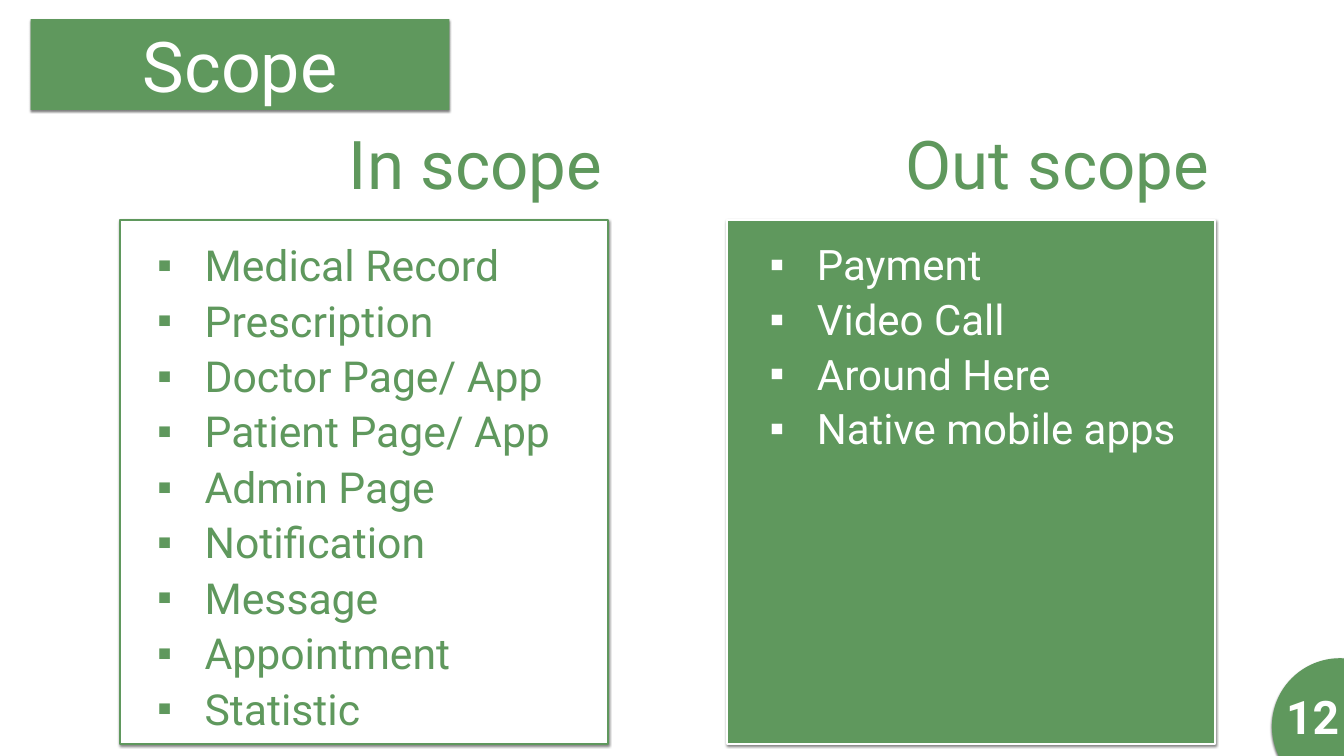
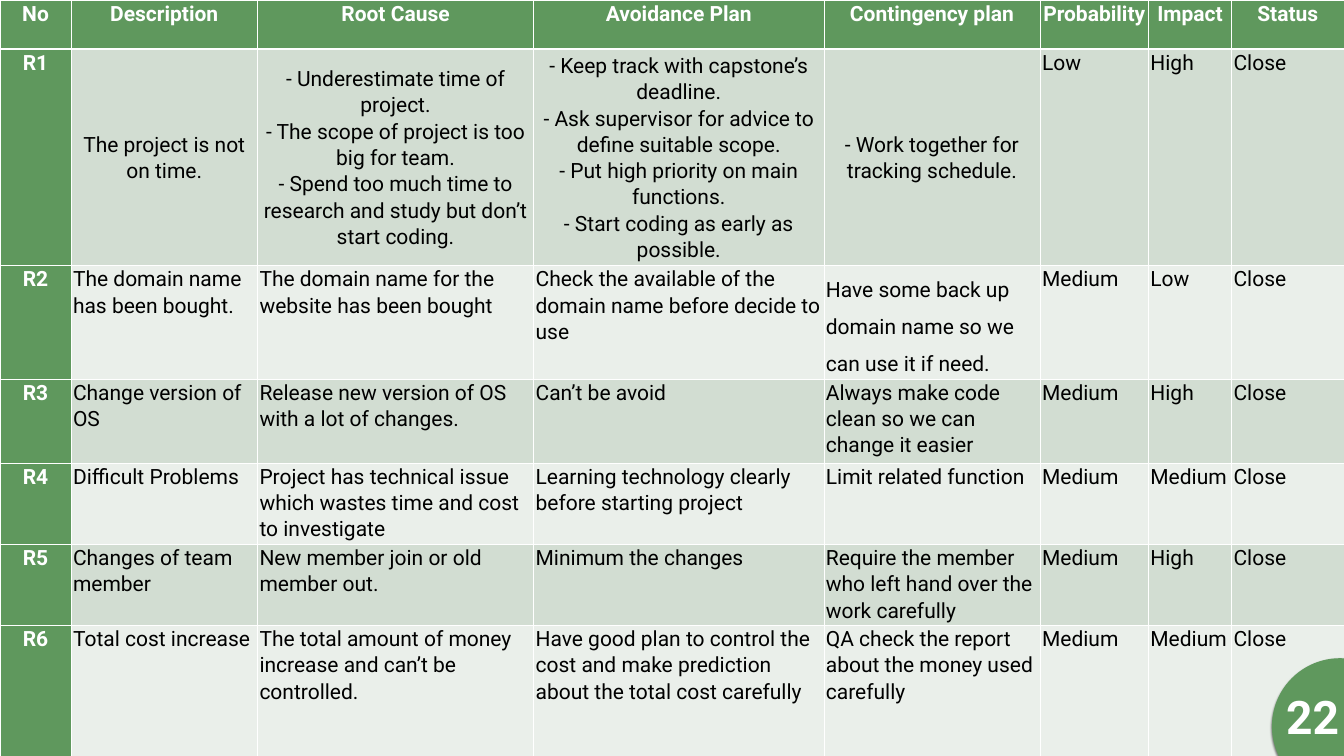
import pptx
import pptx.dml.color
import pptx.enum.shapes
import pptx.enum.text
import pptx.oxml
import pptx.oxml.ns
import pptx.util
from lxml import etree

Inches = pptx.util.Inches
Pt = pptx.util.Pt
Align = pptx.enum.text.PP_ALIGN
Anchor = pptx.enum.text.MSO_ANCHOR
Preset = pptx.enum.shapes.MSO_SHAPE

FONT = "Roboto"
COLORS = {
    "green": "5F985D",
    "white": "FFFFFF",
    "black": "000000",
    "dark_band": "D2DDD2",
    "light_band": "EAEFEA",
}
SLIDE_WIDTH, SLIDE_HEIGHT = 26.67, 15
TITLE_BOX = (0.61, 0.38, 8.31, 1.8)
BADGE_BOX = (25.24, 13.06, 2.7, 2.7)
COLUMN_TOP, COLUMN_WIDTH, COLUMN_HEIGHT = 2.36, 9.68, 12.4
HEADING_HEIGHT, PANEL_OFFSET = 1.73, 2.01

IN_SCOPE = [
    "Medical Record", "Prescription", "Doctor Page/ App", "Patient Page/ App",
    "Admin Page", "Notification", "Message", "Appointment", "Statistic",
]
OUT_SCOPE = ["Payment", "Video Call", "Around Here", "Native mobile apps"]

RISK_COLUMNS = [1.41, 3.7, 5.48, 5.76, 4.29, 2.15, 1.65, 2.23]
RISK_ROWS = [0.98, 4.29, 2.24, 1.67, 1.61, 1.61, 2.7]
RISKS = [
    ["No", "Description", "Root Cause", "Avoidance Plan", "Contingency plan",
     "Probability", "Impact", "Status"],
    ["R1", "The project is not on time.",
     "- Underestimate time of project.\n"
     "- The scope of project is too big for team.\n"
     "- Spend too much time to research and study but don’t start coding.",
     "- Keep track with capstone’s deadline.\n"
     "- Ask supervisor for advice to define suitable scope.\n"
     "- Put high priority on main functions.\n"
     "- Start coding as early as possible.",
     "- Work together for tracking schedule.", "Low", "High", "Close"],
    ["R2", "The domain name has been bought.",
     "The domain name for the website has been bought",
     "Check the available of the domain name before decide to use",
     "Have some back up domain name so we can use it if need.",
     "Medium", "Low", "Close"],
    ["R3", "Change version of OS",
     "Release new version of OS with a lot of changes.", "Can’t be avoid",
     "Always make code clean so we can change it easier",
     "Medium", "High", "Close"],
    ["R4", "Difficult Problems",
     "Project has technical issue which wastes time and cost to investigate",
     "Learning technology clearly before starting project",
     "Limit related function", "Medium", "Medium", "Close"],
    ["R5", "Changes of team member", "New member join or old member out.",
     "Minimum the changes",
     "Require the member who left hand over the work carefully",
     "Medium", "High", "Close"],
    ["R6", "Total cost increase",
     "The total amount of money increase and can’t be controlled.",
     "Have good plan to control the cost and make prediction about the total cost carefully",
     "QA check the report about the money used carefully",
     "Medium", "Medium", "Close"],
]


def rgb(name):
    return pptx.dml.color.RGBColor.from_string(COLORS[name])


def place(shape, box):
    shape.left, shape.top, shape.width, shape.height = map(Inches, box)


def paint(shape, fill, line=None):
    shape.fill.solid()
    shape.fill.fore_color.rgb = rgb(fill)
    if line:
        shape.line.color.rgb = rgb(line)
        shape.line.width = Pt(3)
    else:
        shape.line.fill.background()
    shape.shadow.inherit = False
    effects = shape.element.spPr.find(pptx.oxml.ns.qn("a:effectLst"))
    effects.append(pptx.oxml.parse_xml(
        f'<a:outerShdw {pptx.oxml.ns.nsdecls("a")} blurRad="{Pt(3)}" dist="{Pt(2)}" '
        f'dir="5400000" algn="t" rotWithShape="0"><a:srgbClr val="{COLORS["black"]}">'
        '<a:alpha val="50000"/></a:srgbClr></a:outerShdw>'))


def style(paragraph, size, color, bold=False, align=None):
    paragraph.font.name = FONT
    paragraph.font.size = Pt(size)
    paragraph.font.bold = bold
    paragraph.font.color.rgb = rgb(color)
    if align is not None:
        paragraph.alignment = align


def set_label(shape, text, size, color, wrap):
    frame = shape.text_frame
    frame.text = text
    frame.word_wrap = wrap
    frame.auto_size = pptx.enum.text.MSO_AUTO_SIZE.NONE
    frame.vertical_anchor = Anchor.MIDDLE
    frame.margin_left = frame.margin_right = Inches(0.06)
    frame.margin_top = frame.margin_bottom = Inches(0.06)
    paragraph = frame.paragraphs[0]
    paragraph.space_before = Pt(0)
    style(paragraph, size, color, align=Align.CENTER)


def fill_list(body, items, size, color):
    frame = body.text_frame
    frame.text = "\n".join(items)
    frame.word_wrap = True
    frame.auto_size = pptx.enum.text.MSO_AUTO_SIZE.NONE
    for index, paragraph in enumerate(frame.paragraphs):
        properties = paragraph._p.get_or_add_pPr()
        properties.set("marL", str(Inches(0.94)))
        properties.set("indent", str(-Inches(0.94)))
        etree.SubElement(properties, pptx.oxml.ns.qn("a:buChar")).set("char", "▪")
        paragraph.space_before = Pt(6 if index else 0)
        style(paragraph, size, color)


def add_slide(presentation, layout_index):
    slide = presentation.slides.add_slide(presentation.slide_layouts[layout_index])
    slide.background.fill.solid()
    slide.background.fill.fore_color.rgb = rgb("white")
    return slide


def add_number_badge(slide, box, number):
    left, top, width, height = box
    circle = slide.shapes.add_shape(Preset.OVAL, *map(Inches, box))
    paint(circle, "green")
    label = slide.shapes.add_textbox(
        Inches(left + 0.18), Inches(top + 0.55), Inches(1.26), Inches(1.21))
    label.text_frame.text = str(number)
    label.text_frame.word_wrap = False
    style(label.text_frame.paragraphs[0], 66, "white", True, Align.CENTER)


def add_scope_column(slide, box, heading, body, text, items, heading_width,
                     list_indent, size, fill, ink):
    left, top, width, height = box
    place(heading, (left + width - heading_width, top, heading_width, HEADING_HEIGHT))
    set_label(heading, text, 96, "green", False)
    panel_top = top + PANEL_OFFSET
    panel_height = height - PANEL_OFFSET
    panel = slide.shapes.add_shape(
        Preset.RECTANGLE, *map(Inches, (left, panel_top, width, panel_height)))
    paint(panel, fill, ink)
    place(body, (left + list_indent, panel_top + 0.32,
                 width - list_indent, panel_height - 0.32))
    fill_list(body, items, size, ink)
    body.element.getparent().append(body.element)


def build_scope_slide(presentation):
    slide = add_slide(presentation, 4)
    title, in_heading, in_body, out_heading, out_body = slide.placeholders
    place(title, TITLE_BOX)
    paint(title, "green")
    set_label(title, "Scope", 100, "white", True)
    add_scope_column(
        slide, (2.39, COLUMN_TOP, COLUMN_WIDTH, COLUMN_HEIGHT), in_heading, in_body,
        "In scope", IN_SCOPE, 5.26, 0.63, 61, "white", "green")
    add_scope_column(
        slide, (14.43, COLUMN_TOP, COLUMN_WIDTH, COLUMN_HEIGHT), out_heading, out_body,
        "Out scope", OUT_SCOPE, 6.26, 0.74, 60, "green", "white")
    add_number_badge(slide, BADGE_BOX, 12)


def set_borders(cell, row):
    properties = cell._tc.get_or_add_tcPr()
    widths = {"lnL": 1, "lnR": 1, "lnT": 3 if row == 1 else 1, "lnB": 3 if row == 0 else 1}
    for side, width in widths.items():
        properties.append(pptx.oxml.parse_xml(
            f'<a:{side} {pptx.oxml.ns.nsdecls("a")} w="{Pt(width)}"><a:solidFill>'
            f'<a:srgbClr val="{COLORS["white"]}"/></a:solidFill></a:{side}>'))


def format_risk_cell(cell, row, column, text):
    is_header = row == 0 or column == 0
    is_centred = row == 1 and 1 <= column <= 4
    band = "dark_band" if row % 2 else "light_band"
    set_borders(cell, row)
    cell.fill.solid()
    cell.fill.fore_color.rgb = rgb("green" if is_header else band)
    cell.margin_left = cell.margin_right = Inches(0.07 if is_centred else 0.04)
    cell.margin_top = cell.margin_bottom = 0
    cell.vertical_anchor = Anchor.MIDDLE if is_centred else Anchor.TOP
    cell.text_frame.text = text
    for paragraph in cell.text_frame.paragraphs:
        paragraph.line_spacing = 1.5 if (row, column) == (2, 4) else 1.07
        style(paragraph, 30, "white" if is_header else "black", is_header,
              Align.CENTER if is_header or is_centred else Align.LEFT)


def add_risk_table(slide, box):
    table = slide.shapes.add_table(
        len(RISK_ROWS), len(RISK_COLUMNS), *map(Inches, box)).table
    for column, width in zip(table.columns, RISK_COLUMNS):
        column.width = Inches(width)
    for row, height in zip(table.rows, RISK_ROWS):
        row.height = Inches(height)
    for row, texts in enumerate(RISKS):
        for column, text in enumerate(texts):
            format_risk_cell(table.cell(row, column), row, column, text)


def build_risk_slide(presentation):
    slide = add_slide(presentation, 6)
    add_risk_table(slide, (0, 0, SLIDE_WIDTH, sum(RISK_ROWS)))
    add_number_badge(slide, BADGE_BOX, 22)


def main():
    presentation = pptx.Presentation()
    presentation.slide_width = Inches(SLIDE_WIDTH)
    presentation.slide_height = Inches(SLIDE_HEIGHT)
    build_scope_slide(presentation)
    build_risk_slide(presentation)
    presentation.save("out.pptx")


if __name__ == "__main__":
    main()
